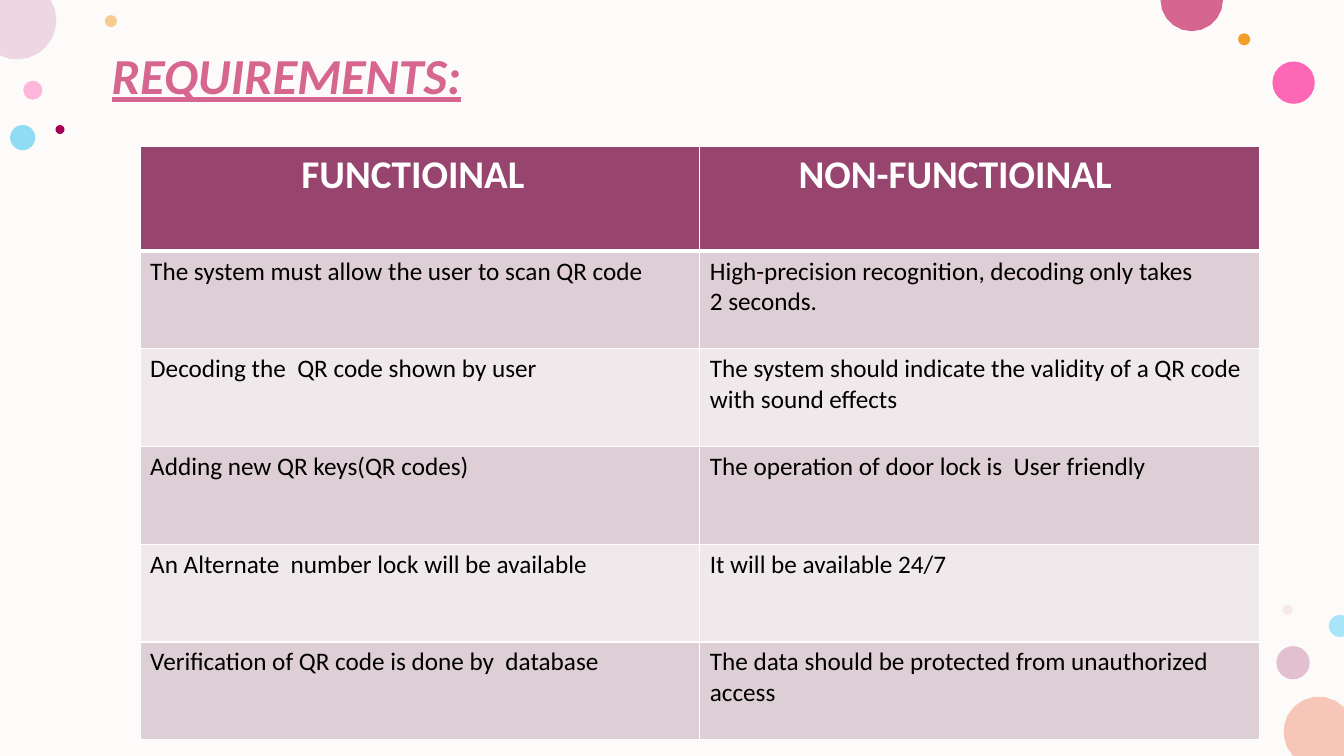
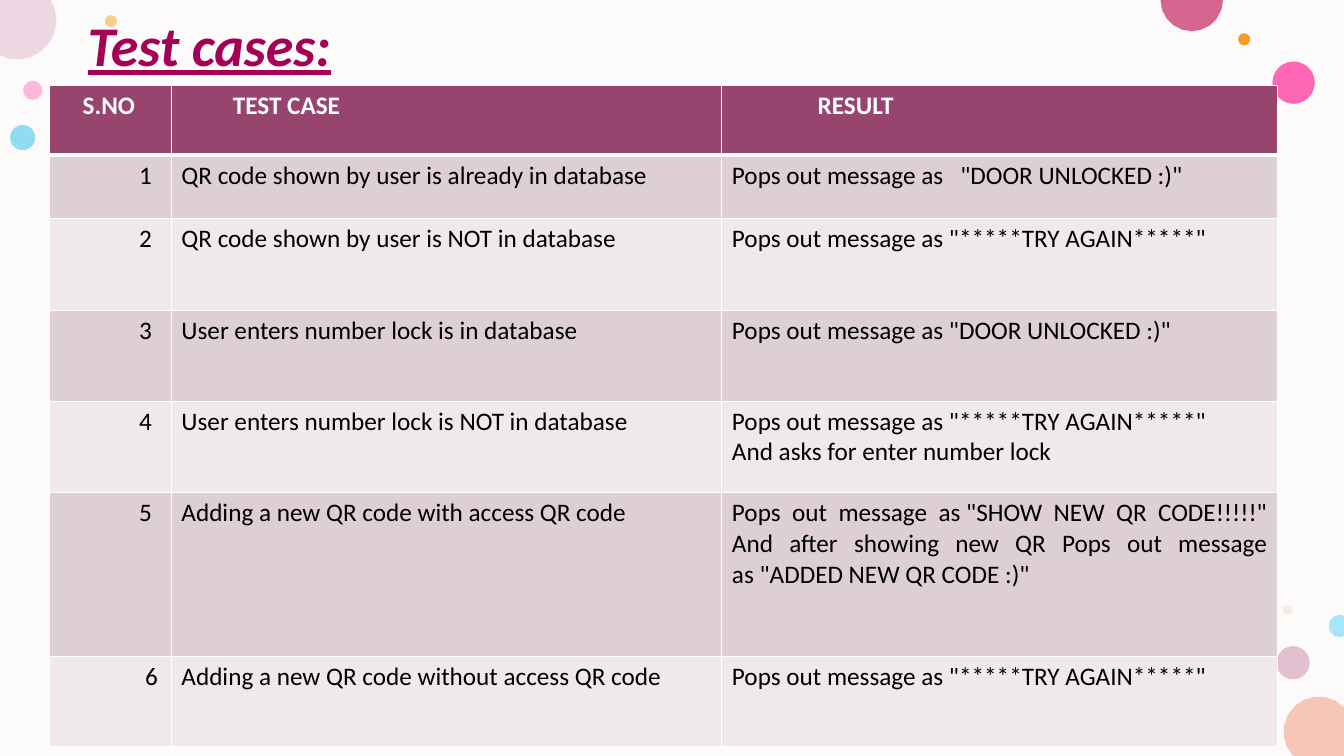
import math

import lxml.etree
import pptx
import pptx.dml.color
import pptx.enum.shapes
import pptx.enum.text
import pptx.oxml.ns
import pptx.util
from pptx.util import Inches

WIDTH, HEIGHT = 13.33, 7.5
FONT = "Calibri"
CELL_MARGIN = 0.1
ARC_STEPS = 10
PAPER, WHITE, BLACK = "FDFBF9", "FFFFFF", "000000"
ROSE, BERRY = "D6658F", "A40056"
HEADER, BANDS = "97446E", ("DDCFD5", "EFE9EB")

# Whole dots: left, top, diameter, colour, opacity in percent
DOTS = [
    (0.23, 0.8, 0.19, "FF75BD", 50),
    (1.04, 0.15, 0.12, "F39E29", 50),
    (12.66, 6.41, 0.33, "C987A8", 50),
    (0.1, 1.24, 0.25, "24BEEE", 50),
    (12.62, 0.61, 0.42, "FF2F9C", 72),
    (12.28, 0.33, 0.12, "F39E29", 100),
    (12.72, 6, 0.1, "E3BEBE", 28),
    (0.55, 1.24, 0.09, BERRY, 100),
]

# Dots cut by the page edge: centre x, centre y, radius, colour,
# first and last angle of the arc, page corners inside the dot
CUT_DOTS = [
    (13.08, 7.26, 0.35, "F6C7B9", 137, 316, [(WIDTH, HEIGHT)]),
    (0.17, 0.2, 0.39, "EDD7E2", -31, 116, [(0, 0)]),
    (11.82, 0, 0.31, ROSE, 0, 180, []),
    (13.29, 6.21, 0.11, "A7E5F8", 69, 291, []),
]

# Indents are given per column, for the header row and for the body rows
PAGES = [
    {
        "title": "REQUIREMENTS:", "title_box": (1.01, 0.39, 4.02, 0.71),
        "title_size": 36, "title_color": ROSE,
        "corner": (1.39, 1.45), "columns": [5.55] * 2, "heights": [1.04] + [0.97] * 5,
        "header_size": 28, "header_indents": [1.5, 0.88], "body_indents": [0, 0],
        "shifted": {}, "justified": [],
        "rows": [
            ("FUNCTIOINAL", "NON-FUNCTIOINAL"),
            ("The system must allow the user to scan QR code",
             "High-precision recognition, decoding only takes 2 seconds."),
            ("Decoding the  QR code shown by user",
             "The system should indicate the validity of a QR code with sound effects"),
            ("Adding new QR keys(QR codes)", "The operation of door lock is  User friendly"),
            ("An Alternate  number lock will be available", "It will be available 24/7"),
            ("Verification of QR code is done by  database",
             "The data should be protected from unauthorized access"),
        ],
    },
    {
        "title": "Test cases:", "title_box": (0.77, 0.06, 3, 0.77),
        "title_size": 40, "title_color": BERRY,
        "corner": (0.49, 0.85), "columns": [1.21, 5.46, 5.51],
        "heights": [0.69, 0.63, 0.91, 0.9, 0.91, 1.62, 0.9],
        "header_size": 18, "header_indents": [0.23, 0.51, 0.85], "body_indents": [0.79, 0, 0],
        "shifted": {(6, 0): 0.06}, "justified": [(5, 2)],
        "rows": [
            ("S.NO", "TEST CASE", "RESULT"),
            ("1", "QR code shown by user is already in database",
             'Pops out message as   "DOOR UNLOCKED :)"'),
            ("2", "QR code shown by user is NOT in database",
             'Pops out message as "*****TRY AGAIN*****"'),
            ("3", "User enters number lock is in database",
             'Pops out message as "DOOR UNLOCKED :)"'),
            ("4", "User enters number lock is NOT in database",
             'Pops out message as "*****TRY AGAIN*****"\nAnd asks for enter number lock'),
            ("5", "Adding a new QR code with access QR code",
             'Pops out message as "SHOW NEW QR CODE!!!!!" '
             'And after showing new QR Pops out message as "ADDED NEW QR CODE :)"'),
            ("6", "Adding a new QR code without access QR code",
             'Pops out message as "*****TRY AGAIN*****"'),
        ],
    },
]

# Words that stay together on one line
NO_BREAK = chr(160)
TIES = ["2 seconds", 'as "SHOW', 'as "ADDED']


def paint(fill, color, opacity=100):
    fill.solid()
    fill.fore_color.rgb = pptx.dml.color.RGBColor.from_string(color)
    if opacity < 100:
        tint = fill._xPr.find(".//" + pptx.oxml.ns.qn("a:srgbClr"))
        lxml.etree.SubElement(tint, pptx.oxml.ns.qn("a:alpha"), val=str(opacity * 1000))


def draw_border(cell, position, side, points):
    line = lxml.etree.Element(pptx.oxml.ns.qn("a:" + side), w=str(pptx.util.Pt(points)))
    solid = lxml.etree.SubElement(line, pptx.oxml.ns.qn("a:solidFill"))
    lxml.etree.SubElement(solid, pptx.oxml.ns.qn("a:srgbClr"), val=WHITE)
    cell._tc.get_or_add_tcPr().insert(position, line)


deck = pptx.Presentation()
deck.slide_width, deck.slide_height = Inches(WIDTH), Inches(HEIGHT)

for content in PAGES:
    page = deck.slides.add_slide(deck.slide_layouts[6])

    # Backdrop and dots
    backdrop = page.shapes.add_shape(
        pptx.enum.shapes.MSO_SHAPE.RECTANGLE, 0, 0, deck.slide_width, deck.slide_height)
    decorations = [(backdrop, PAPER, 100)]
    for left, top, size, color, opacity in DOTS:
        dot = page.shapes.add_shape(
            pptx.enum.shapes.MSO_SHAPE.OVAL,
            Inches(left), Inches(top), Inches(size), Inches(size))
        decorations.append((dot, color, opacity))
    for x, y, radius, color, first, last, corners in CUT_DOTS:
        points = list(corners)
        for step in range(ARC_STEPS + 1):
            angle = math.radians(first + (last - first) * step / ARC_STEPS)
            points.append((min(max(x + radius * math.cos(angle), 0), WIDTH),
                           min(max(y + radius * math.sin(angle), 0), HEIGHT)))
        points = [(Inches(across), Inches(down)) for across, down in points]
        outline = page.shapes.build_freeform(*points[0])
        outline.add_line_segments(points[1:])
        decorations.append((outline.convert_to_shape(), color, 100))
    for shape, color, opacity in decorations:
        shape.shadow.inherit = False
        shape.line.fill.background()
        paint(shape.fill, color, opacity)

    # Table
    rows, columns, heights = content["rows"], content["columns"], content["heights"]
    left, top = content["corner"]
    table = page.shapes.add_table(
        len(rows), len(columns), Inches(left), Inches(top),
        Inches(sum(columns)), Inches(sum(heights))).table
    for column, width in zip(table.columns, columns):
        column.width = Inches(width)
    for row_index, texts in enumerate(rows):
        table.rows[row_index].height = Inches(heights[row_index])
        is_header = row_index == 0
        indents = content["header_indents" if is_header else "body_indents"]
        for column_index, text in enumerate(texts):
            place = (row_index, column_index)
            cell = table.cell(*place)
            for tie in TIES:
                text = text.replace(tie, tie.replace(" ", NO_BREAK))
            cell.text = text
            cell.margin_left = Inches(
                CELL_MARGIN + indents[column_index] + content["shifted"].get(place, 0))
            paint(cell.fill, HEADER if is_header else BANDS[(row_index - 1) % 2])
            draw_border(cell, 0, "lnL", 1)
            draw_border(cell, 1, "lnR", 1)
            draw_border(cell, 2, "lnT", 3 if row_index == 1 else 1)
            draw_border(cell, 3, "lnB", 3 if is_header else 1)
            for para in cell.text_frame.paragraphs:
                para.font.name = FONT
                para.font.size = pptx.util.Pt(content["header_size"] if is_header else 18)
                para.font.bold = is_header
                paint(para.font.fill, WHITE if is_header else BLACK)
                if place in content["justified"]:
                    para.alignment = pptx.enum.text.PP_ALIGN.JUSTIFY

    # Title
    box = page.shapes.add_textbox(*map(Inches, content["title_box"]))
    box.text_frame.word_wrap = True
    para = box.text_frame.paragraphs[0]
    para.text = content["title"]
    para.font.name = FONT
    para.font.size = pptx.util.Pt(content["title_size"])
    para.font.bold = para.font.italic = para.font.underline = True
    paint(para.font.fill, content["title_color"])

deck.save("out.pptx")
